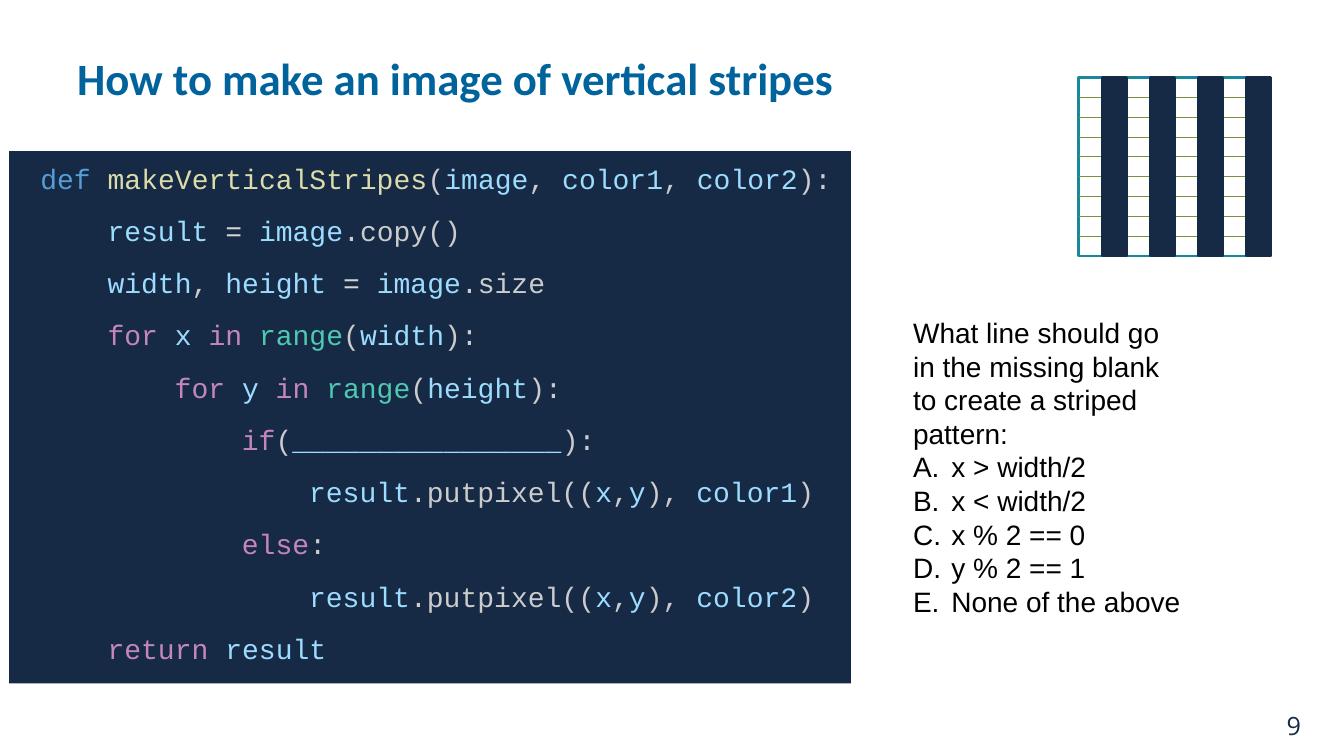
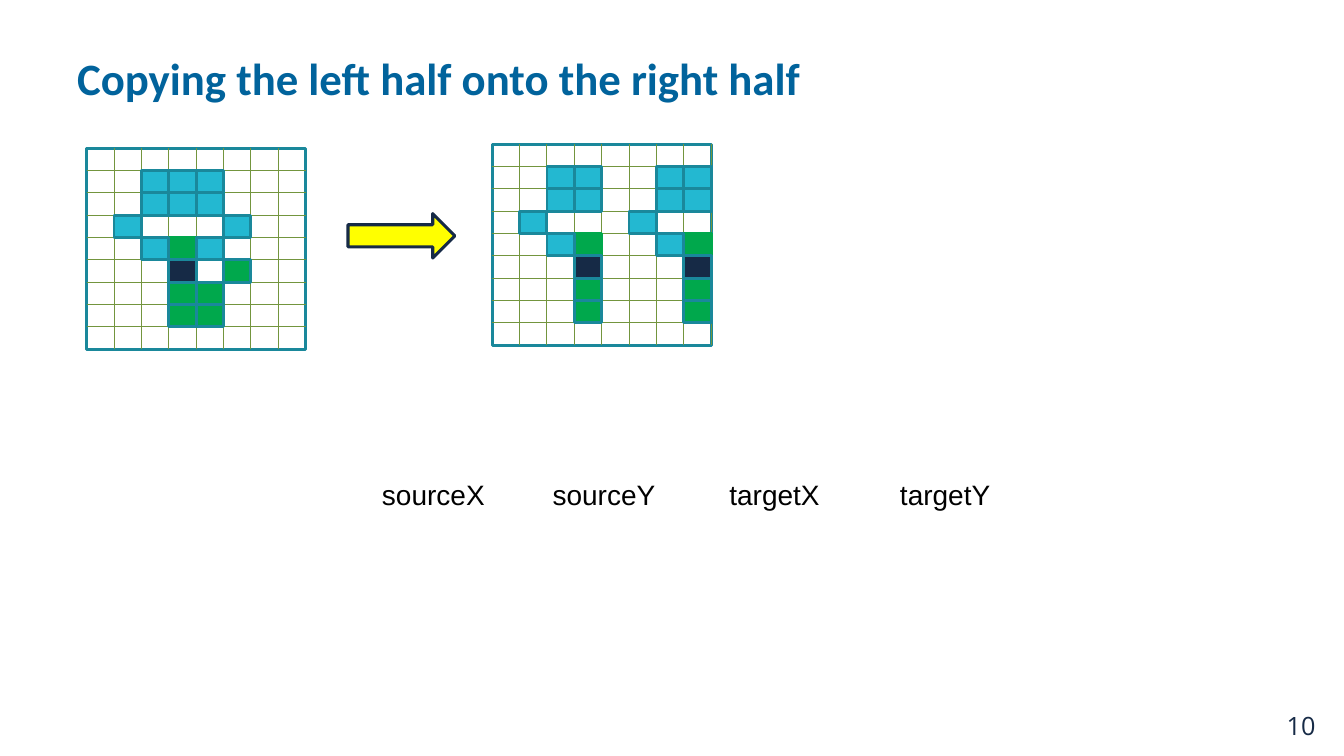
from dataclasses import dataclass
from typing import Any

import pptx
import pptx.dml.color
import pptx.enum.shapes
import pptx.enum.text
import pptx.oxml.ns
import pptx.util
from lxml import etree

WIDE, TALL = pptx.util.Inches(13.333), pptx.util.Inches(7.5)
SHAPE = pptx.enum.shapes.MSO_SHAPE
ALIGN = pptx.enum.text.PP_ALIGN
ANCHOR = pptx.enum.text.MSO_ANCHOR

NAVY, BLUE, TEAL, AQUA = "162A46", "01639C", "1A889B", "23B8D1"
GREEN, OLIVE, YELLOW, BLACK = "00A84C", "73953E", "FFFF00", "000000"


@dataclass(frozen=True)
class Area:
    """A box whose sides are percentages of the slide's size."""
    left: float
    top: float
    wide: float
    tall: float

    def box(self) -> tuple[int, int, int, int]:
        return (int(self.left * WIDE / 100), int(self.top * TALL / 100),
                int(self.wide * WIDE / 100), int(self.tall * TALL / 100))


@dataclass(frozen=True)
class Board:
    """A pixel grid laid over an area."""
    area: Area
    cols: int = 8
    rows: int = 9

    def cell(self, col: int, row: int, wide: int = 1, tall: int = 1) -> Area:
        step = self.area.wide / self.cols
        rise = self.area.tall / self.rows
        return Area(self.area.left + col * step, self.area.top + row * rise,
                    wide * step, tall * rise)


@dataclass(frozen=True)
class Ink:
    fill: str
    line: str


@dataclass(frozen=True)
class Piece:
    """A run of text with its own colour."""
    text: str
    color: str


@dataclass(frozen=True)
class Para:
    pieces: list[Piece]
    level: int = 0
    letter: bool = False


TITLE = Area(5, 0.8, 90, 18.93)
FOOT = Area(95, 93.33, 3.75, 5.33)
CODE = Area(0.68, 20, 62.63, 70.4)
ASK = Area(67.2, 41.07, 21.98, 41.73)
ARROW = Area(25.9, 28.27, 7.95, 5.87)
TABLE = Area(25.9, 62.8, 50.78, 32.8)
STRIPES = Board(Area(80.25, 10.27, 14.3, 23.6))
BEFORE = Board(Area(6.45, 19.6, 16.3, 26.6))
AFTER = Board(Area(36.62, 19.07, 16.3, 26.6))

# Cells are drawn in this order.
INKS = {"e": Ink(GREEN, GREEN), "b": Ink(AQUA, TEAL),
        "n": Ink(NAVY, TEAL), "g": Ink(GREEN, TEAL)}
PICTURE = ["........", "..bbb...", "..bbb...", ".b...b..", "..beb...",
           "...n.g..", "...gg...", "...gg...", "........"]

# Each piece of code opens with the key of its colour.
SYNTAX = {"d": "569CD6", "f": "DCDCAA", "p": "CCCCCC", "v": "9CDCFE",
          "o": "D4D4D4", "k": "C586C0", "t": "4EC9B0"}
SOURCE = [
    (0, "ddef |fmakeVerticalStripes|p(|vimage|p, |vcolor1|p, |vcolor2|p):"),
    (1, "vresult |o= |vimage|p.copy()"),
    (1, "vwidth|p, |vheight |o= |vimage|p.size"),
    (1, "kfor |vx |kin |trange|p(|vwidth|p):"),
    (2, "kfor |vy |kin |trange|p(|vheight|p):"),
    (3, "kif|p(|v________________|p):"),
    (4, "vresult|p.putpixel((|vx|p,|vy|p), |vcolor1|p)"),
    (3, "kelse|p:"),
    (4, "vresult|p.putpixel((|vx|p,|vy|p), |vcolor2|p)"),
    (1, "kreturn |vresult"),
]
PROMPT = "What line should go in the missing blank to create a striped pattern:"
CHOICES = ["x > width/2", "x < width/2", "x % 2 == 0", "y % 2 == 1",
           "None of the above"]
HEADS = ["sourceX", "sourceY", "targetX", "targetY"]


def paint(color: str) -> pptx.dml.color.RGBColor:
    return pptx.dml.color.RGBColor.from_string(color)


def plain(text: str, color: str = BLACK, letter: bool = False) -> Para:
    return Para([Piece(text, color)], letter=letter)


def write(frame: Any, paras: list[Para], *, font: str = "Arial",
          size: float = 20, bold: bool = False, align: Any = ALIGN.LEFT,
          gap: float = 0, indent: float = 0) -> None:
    """Fill a text frame; gap and indent (per level) are in points."""
    for i, para in enumerate(paras):
        line = frame.paragraphs[0] if i == 0 else frame.add_paragraph()
        line.alignment = align
        line.space_before = pptx.util.Pt(gap if i else 0)
        props = line._p.get_or_add_pPr()
        if para.level:
            props.set("marL", str(pptx.util.Pt(indent * para.level)))
            props.set("indent", "0")
        if para.letter:
            hang = pptx.util.Inches(0.38)
            props.set("marL", str(hang))
            props.set("indent", str(-hang))
            etree.SubElement(props, pptx.oxml.ns.qn("a:buAutoNum"),
                             type="alphaUcPeriod")
        for piece in para.pieces:
            run = line.add_run()
            run.text = piece.text
            run.font.name = font
            run.font.size = pptx.util.Pt(size)
            run.font.bold = bold
            run.font.color.rgb = paint(piece.color)


def label(slide: Any, area: Area, paras: list[Para], *, wrap: bool = True,
          anchor: Any = ANCHOR.TOP, **style: Any) -> None:
    frame = slide.shapes.add_textbox(*area.box()).text_frame
    frame.word_wrap = wrap
    frame.vertical_anchor = anchor
    write(frame, paras, **style)


def block(shapes: Any, area: Area, fill: str | None, line: str | None,
          width: float = 2, kind: Any = SHAPE.RECTANGLE) -> Any:
    shape = shapes.add_shape(kind, *area.box())
    shape.shadow.inherit = False
    if fill:
        shape.fill.solid()
        shape.fill.fore_color.rgb = paint(fill)
    else:
        shape.fill.background()
    if line:
        shape.line.color.rgb = paint(line)
        shape.line.width = pptx.util.Pt(width)
    else:
        shape.line.fill.background()
    return shape


def rule(shapes: Any, area: Area) -> None:
    """Draw a grid line from one corner of a flat area to the other."""
    left, top, wide, tall = area.box()
    line = shapes.add_connector(pptx.enum.shapes.MSO_CONNECTOR.STRAIGHT,
                                left, top, left + wide, top + tall)
    line.line.color.rgb = paint(OLIVE)
    line.line.width = pptx.util.Pt(0.75)
    etree.SubElement(line._element.spPr, pptx.oxml.ns.qn("a:effectLst"))


def mesh(slide: Any, board: Board, edge: bool = False) -> Any:
    """Draw a board's frame and lines; edge adds a line on its right side."""
    shapes = slide.shapes.add_group_shape().shapes
    block(shapes, board.area, None, TEAL)
    for row in range(1, board.rows):
        rule(shapes, board.cell(0, row, board.cols, 0))
    for col in range(1, board.cols + edge):
        rule(shapes, board.cell(col, 0, 0, board.rows))
    return shapes


def pixels(shapes: Any, board: Board, mask: list[str]) -> None:
    for key, ink in INKS.items():
        for row, marks in enumerate(mask):
            for col, mark in enumerate(marks):
                if mark == key:
                    block(shapes, board.cell(col, row), ink.fill, ink.line)


def page(deck: Any, title: str, number: int) -> Any:
    slide = deck.slides.add_slide(deck.slide_layouts[6])
    label(slide, FOOT, [plain(str(number), NAVY)], wrap=False,
          font="Open Sans", size=18)
    label(slide, TITLE, [plain(title, BLUE)], anchor=ANCHOR.MIDDLE,
          font="Calibri", size=32, bold=True)
    return slide


def code(slide: Any) -> None:
    frame = block(slide.shapes, CODE, NAVY, None).text_frame
    frame.word_wrap = True
    frame.vertical_anchor = ANCHOR.TOP
    frame.margin_left = pptx.util.Inches(0.31)
    frame.margin_right = 0
    frame.margin_top = pptx.util.Inches(0.1)
    paras = [Para([Piece(bit[1:], SYNTAX[bit[0]]) for bit in text.split("|")],
                  level) for level, text in SOURCE]
    write(frame, paras, font="Courier New", gap=13.3, indent=48)


def table(slide: Any) -> None:
    grid = slide.shapes.add_table(6, len(HEADS), *TABLE.box()).table
    grid.first_row = grid.horz_banding = False
    for cell in grid.iter_cells():
        cell.fill.background()
    for col, head in enumerate(HEADS):
        write(grid.cell(0, col).text_frame, [plain(head)], align=ALIGN.CENTER)


def stripes(deck: Any) -> None:
    slide = page(deck, "How to make an image of vertical stripes", 9)
    code(slide)
    label(slide, ASK, [plain(PROMPT)]
          + [plain(text, letter=True) for text in CHOICES])
    shapes = mesh(slide, STRIPES)
    for col in range(1, STRIPES.cols, 2):
        block(shapes, STRIPES.cell(col, 0, 1, STRIPES.rows), NAVY, NAVY)


def halves(deck: Any) -> None:
    slide = page(deck, "Copying the left half onto the right half", 10)
    pixels(mesh(slide, BEFORE), BEFORE, PICTURE)
    block(slide.shapes, ARROW, YELLOW, NAVY, 2.25, SHAPE.RIGHT_ARROW)
    half = AFTER.cols // 2
    pixels(mesh(slide, AFTER, edge=True), AFTER,
           [row[:half] * 2 for row in PICTURE])
    table(slide)


def main() -> None:
    deck = pptx.Presentation()
    deck.slide_width, deck.slide_height = WIDE, TALL
    stripes(deck)
    halves(deck)
    deck.save("out.pptx")


if __name__ == "__main__":
    main()
